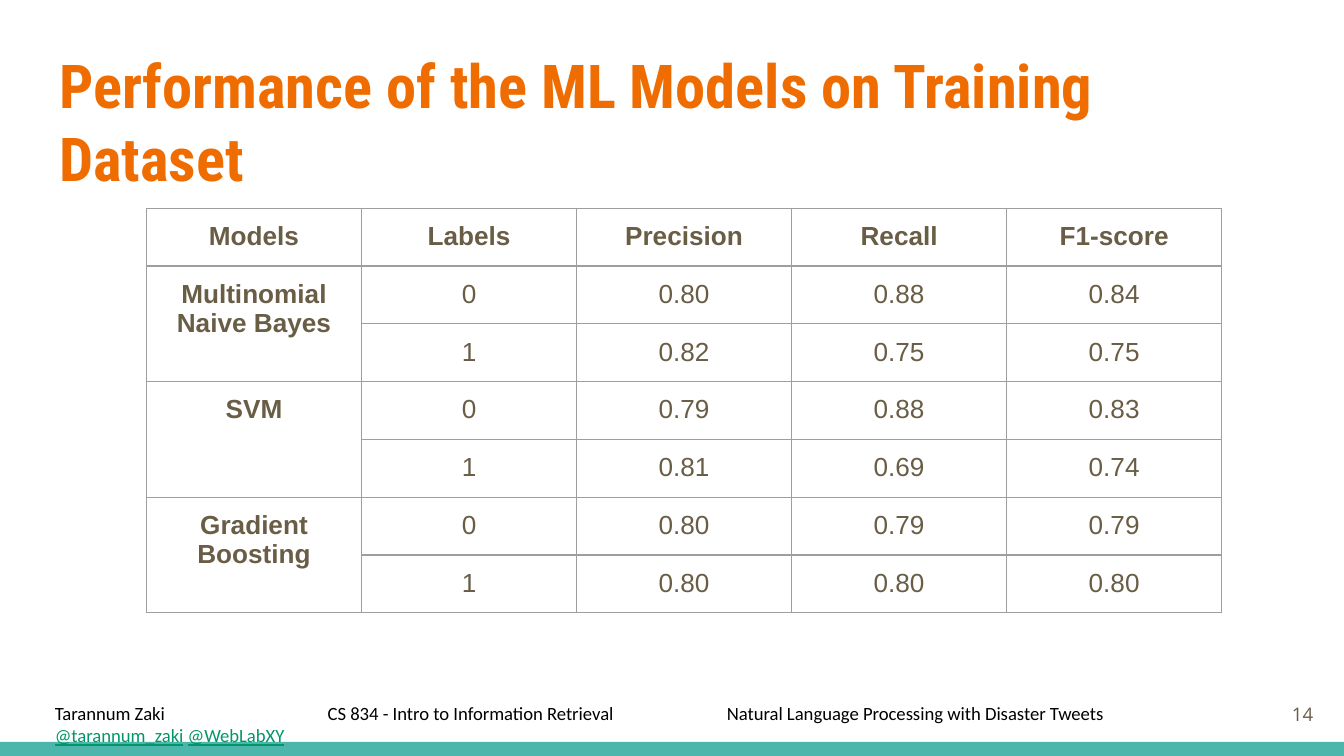
from lxml import etree
from pptx import Presentation
from pptx.dml.color import RGBColor
from pptx.enum.shapes import MSO_SHAPE
from pptx.enum.text import MSO_ANCHOR as Anchor, MSO_AUTO_SIZE as AutoSize, PP_ALIGN as Align
from pptx.oxml.ns import qn
from pptx.util import Inches, Pt

ORANGE = RGBColor(0xEF, 0x6C, 0x00)
TEAL = RGBColor(0x4D, 0xB6, 0xAC)
GREEN = RGBColor(0x00, 0x96, 0x68)
BROWN = RGBColor(0x69, 0x5D, 0x46)
BLACK = RGBColor(0x00, 0x00, 0x00)
GREY = RGBColor(0x9E, 0x9E, 0x9E)

HEADERS = ["Models", "Labels", "Precision", "Recall", "F1-score"]
SCORES = {
    "Multinomial Naive Bayes": [("0", "0.80", "0.88", "0.84"), ("1", "0.82", "0.75", "0.75")],
    "SVM": [("0", "0.79", "0.88", "0.83"), ("1", "0.81", "0.69", "0.74")],
    "Gradient Boosting": [("0", "0.80", "0.79", "0.79"), ("1", "0.80", "0.80", "0.80")],
}


def add_run(p, text, font, size, color, bold=False, underline=False):
    r = p.add_run()
    r.text = text
    r.font.name = font
    r.font.size = Pt(size)
    r.font.color.rgb = color
    r.font.bold = bold
    r.font.underline = underline


def set_frame(tf, anchor=Anchor.TOP):
    tf.word_wrap = True
    tf.auto_size = AutoSize.NONE
    tf.vertical_anchor = anchor
    tf.margin_left = tf.margin_right = tf.margin_top = tf.margin_bottom = Inches(0.1)


def add_text_box(s, x, y, w, h, anchor=Anchor.TOP):
    tf = s.shapes.add_textbox(Inches(x), Inches(y), Inches(w), Inches(h)).text_frame
    set_frame(tf, anchor)
    return tf.paragraphs[0]


def add_tab_stops(p, stops):
    tabs = etree.SubElement(p._p.get_or_add_pPr(), qn("a:tabLst"))
    for stop in stops:
        etree.SubElement(tabs, qn("a:tab"), pos=str(Inches(stop)), algn="l")


def set_borders(cell, color, width):
    tc_pr = cell._tc.get_or_add_tcPr()
    for i, side in enumerate(("lnL", "lnR", "lnT", "lnB")):
        ln = etree.Element(qn(f"a:{side}"), w=str(Pt(width)))
        fill = etree.SubElement(ln, qn("a:solidFill"))
        etree.SubElement(fill, qn("a:srgbClr"), val=str(color))
        tc_pr.insert(i, ln)


def fill_cell(cell, text, bold):
    cell.margin_left = cell.margin_right = cell.margin_top = cell.margin_bottom = Inches(0.1)
    cell.fill.background()
    set_borders(cell, GREY, 0.75)
    p = cell.text_frame.paragraphs[0]
    p.alignment = Align.CENTER
    if text:
        add_run(p, text, "Arial", 14, BROWN, bold)


def add_title(s, x, y, w, h):
    sp = s.shapes.title
    sp.left, sp.top, sp.width, sp.height = map(Inches, (x, y, w, h))
    set_frame(sp.text_frame)
    p = sp.text_frame.paragraphs[0]
    p.alignment = Align.LEFT
    add_run(p, "Performance of the ML Models on Training Dataset",
            "Roboto Condensed", 32.4, ORANGE, bold=True)


def add_scores(s, x, y, col_w, row_h):
    rows = [HEADERS]
    for model, pair in SCORES.items():
        rows += [(model, *pair[0]), ("", *pair[1])]
    n_rows, n_cols = len(rows), len(HEADERS)
    table = s.shapes.add_table(n_rows, n_cols, Inches(x), Inches(y),
                               Inches(col_w * n_cols), Inches(row_h * n_rows)).table
    table.first_row = table.horz_banding = False
    for col in table.columns:
        col.width = Inches(col_w)
    for i, row in enumerate(rows):
        table.rows[i].height = Inches(row_h)
        for j, text in enumerate(row):
            fill_cell(table.cell(i, j), text, bold=i == 0 or j == 0)
    for i in range(1, n_rows, 2):
        table.cell(i, 0).merge(table.cell(i + 1, 0))


def add_footer(s, x, y, w, h):
    p = add_text_box(s, x, y, w, h)
    add_tab_stops(p, (2.03, 5))
    add_run(p, "Tarannum Zaki\tCS 834 - Intro to Information Retrieval"
               "\tNatural Language Processing with Disaster Tweets", "Calibri", 10, BLACK)
    p.add_line_break()
    add_run(p, "@tarannum_zaki", "Calibri", 10, GREEN, underline=True)
    add_run(p, " ", "Calibri", 10, BLACK)
    add_run(p, "@WebLabXY", "Calibri", 10, GREEN, underline=True)


def add_page_number(s, x, y, w, h):
    p = add_text_box(s, x, y, w, h, Anchor.MIDDLE)
    p.alignment = Align.RIGHT
    add_run(p, "14", "Open Sans", 10, BROWN)


def add_bottom_bar(s, x, y, w, h):
    sp = s.shapes.add_shape(MSO_SHAPE.RECTANGLE, Inches(x), Inches(y), Inches(w), Inches(h))
    sp.shadow.inherit = False
    sp.fill.solid()
    sp.fill.fore_color.rgb = TEAL
    sp.line.fill.background()


def main():
    prs = Presentation()
    prs.slide_width = Inches(10)
    prs.slide_height = prs.slide_width * 9 // 16
    s = prs.slides.add_slide(prs.slide_layouts[5])
    add_bottom_bar(s, 0, 5.52, 10, 0.11)
    add_title(s, 0.34, 0.26, 9.32, 0.77)
    add_page_number(s, 9.27, 5.1, 0.6, 0.43)
    add_footer(s, 0.31, 5.12, 9.56, 0.37)
    add_scores(s, 1.09, 1.55, 1.6, 0.43)
    prs.save("out.pptx")


if __name__ == "__main__":
    main()
